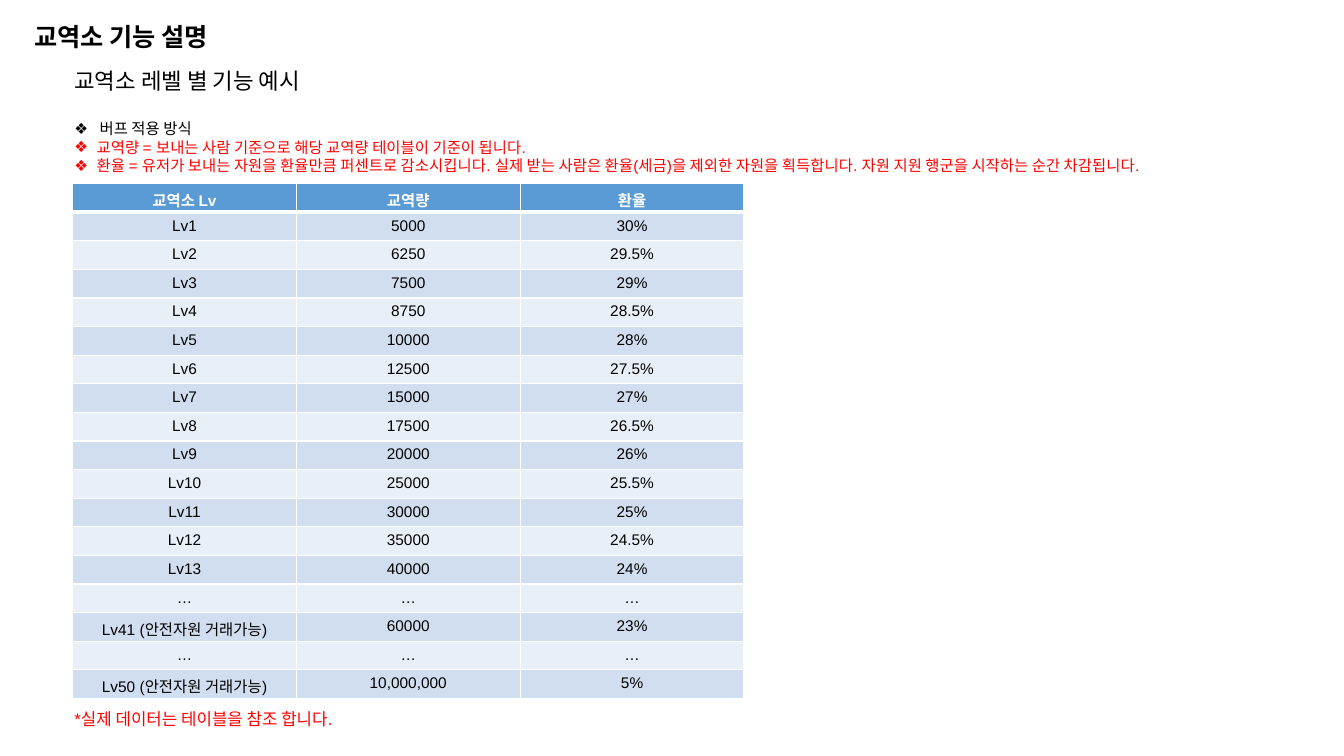
from dataclasses import dataclass

from lxml import etree
from pptx import Presentation
from pptx.dml.color import RGBColor
from pptx.enum.text import PP_ALIGN
from pptx.oxml.ns import qn
from pptx.util import Inches, Pt

LEFT = PP_ALIGN.LEFT
CENTER = PP_ALIGN.CENTER


@dataclass(frozen=True)
class Theme:
    font: str = "Arial"
    black: str = "000000"
    white: str = "FFFFFF"
    red: str = "FF0000"
    header: str = "5B9BD5"
    odd_row: str = "D0DEEF"
    even_row: str = "E9EFF7"
    title_size: int = 18
    subtitle_size: int = 16
    note_size: int = 12
    body_size: int = 11


THEME = Theme()


def write(paragraph, text, size=THEME.body_size, color=THEME.black, bold=False,
          align=LEFT, before=0, indent=0):
    paragraph.alignment = align
    if before:
        paragraph.space_before = Pt(before)
    if indent:
        properties = paragraph._p.get_or_add_pPr()
        properties.set("marL", str(Inches(indent)))
        properties.set("indent", str(-Inches(indent)))
        bullet_color = etree.SubElement(properties, qn("a:buClr"))
        etree.SubElement(bullet_color, qn("a:srgbClr"), val=color)
        etree.SubElement(properties, qn("a:buFont"), typeface=THEME.font)
        etree.SubElement(properties, qn("a:buChar"), char="❖")
    run = paragraph.add_run()
    run.text = text
    run.font.name = THEME.font
    run.font.size = Pt(size)
    run.font.bold = bold
    run.font.color.rgb = RGBColor.from_string(color)


def add_frame(slide, left, top, width, height):
    frame = slide.shapes.add_textbox(
        Inches(left), Inches(top), Inches(width), Inches(height)).text_frame
    frame.word_wrap = True
    return frame


presentation = Presentation()
presentation.slide_width = Inches(13.33)
presentation.slide_height = Inches(7.5)
slide = presentation.slides.add_slide(presentation.slide_layouts[6])

title = add_frame(slide, 0.24, 0.16, 2.15, 0.4)
write(title.paragraphs[0], "교역소 기능 설명", size=THEME.title_size, bold=True)

levels = [
    ("교역소 Lv", "교역량", "환율"),
    ("Lv1", "5000", "30%"),
    ("Lv2", "6250", "29.5%"),
    ("Lv3", "7500", "29%"),
    ("Lv4", "8750", "28.5%"),
    ("Lv5", "10000", "28%"),
    ("Lv6", "12500", "27.5%"),
    ("Lv7", "15000", "27%"),
    ("Lv8", "17500", "26.5%"),
    ("Lv9", "20000", "26%"),
    ("Lv10", "25000", "25.5%"),
    ("Lv11", "30000", "25%"),
    ("Lv12", "35000", "24.5%"),
    ("Lv13", "40000", "24%"),
    ("…", "…", "…"),
    ("Lv41 (안전자원 거래가능)", "60000", "23%"),
    ("…", "…", "…"),
    ("Lv50 (안전자원 거래가능)", "10,000,000", "5%"),
]
column_width, row_height = 2.22, 0.21
level_table = slide.shapes.add_table(
    len(levels), 3, Inches(0.72), Inches(1.82),
    Inches(3 * column_width), Inches(len(levels) * row_height)).table
for column in level_table.columns:
    column.width = Inches(column_width)

for row_index, level in enumerate(levels):
    level_table.rows[row_index].height = Inches(row_height)
    is_header = row_index == 0
    if is_header:
        fill_color = THEME.header
    else:
        fill_color = THEME.odd_row if row_index % 2 else THEME.even_row
    edge_widths = {"lnL": 1, "lnR": 1,
                   "lnT": 3 if row_index == 1 else 1,
                   "lnB": 3 if is_header else 1}
    for column_index, value in enumerate(level):
        cell = level_table.cell(row_index, column_index)
        write(cell.text_frame.paragraphs[0], value, bold=is_header, align=CENTER,
              color=THEME.white if is_header else THEME.black)
        cell_properties = cell._tc.get_or_add_tcPr()
        for edge, edge_width in edge_widths.items():
            line = etree.SubElement(cell_properties, qn(f"a:{edge}"), w=str(Pt(edge_width)))
            line_fill = etree.SubElement(line, qn("a:solidFill"))
            etree.SubElement(line_fill, qn("a:srgbClr"), val=THEME.white)
        cell.fill.solid()
        cell.fill.fore_color.rgb = RGBColor.from_string(fill_color)

footnote = add_frame(slide, 0.64, 6.98, 3.07, 0.3)
write(footnote.paragraphs[0], "*실제 데이터는 테이블을 참조 합니다.",
      size=THEME.note_size, color=THEME.red)

explanation = add_frame(slide, 0.64, 0.62, 12.33, 1.19)
write(explanation.paragraphs[0], "교역소 레벨 별 기능 예시", size=THEME.subtitle_size)
buff_rules = [
    ("버프 적용 방식", THEME.black, 0.25, 18),
    ("교역량 = 보내는 사람 기준으로 해당 교역량 테이블이 기준이 됩니다.", THEME.red, 0.22, 0),
    ("환율 = 유저가 보내는 자원을 환율만큼 퍼센트로 감소시킵니다. "
     "실제 받는 사람은 환율(세금)을 제외한 자원을 획득합니다. "
     "자원 지원 행군을 시작하는 순간 차감됩니다.", THEME.red, 0.22, 0),
]
for rule, color, indent, before in buff_rules:
    write(explanation.add_paragraph(), rule, color=color, indent=indent, before=before)

presentation.save("out.pptx")
